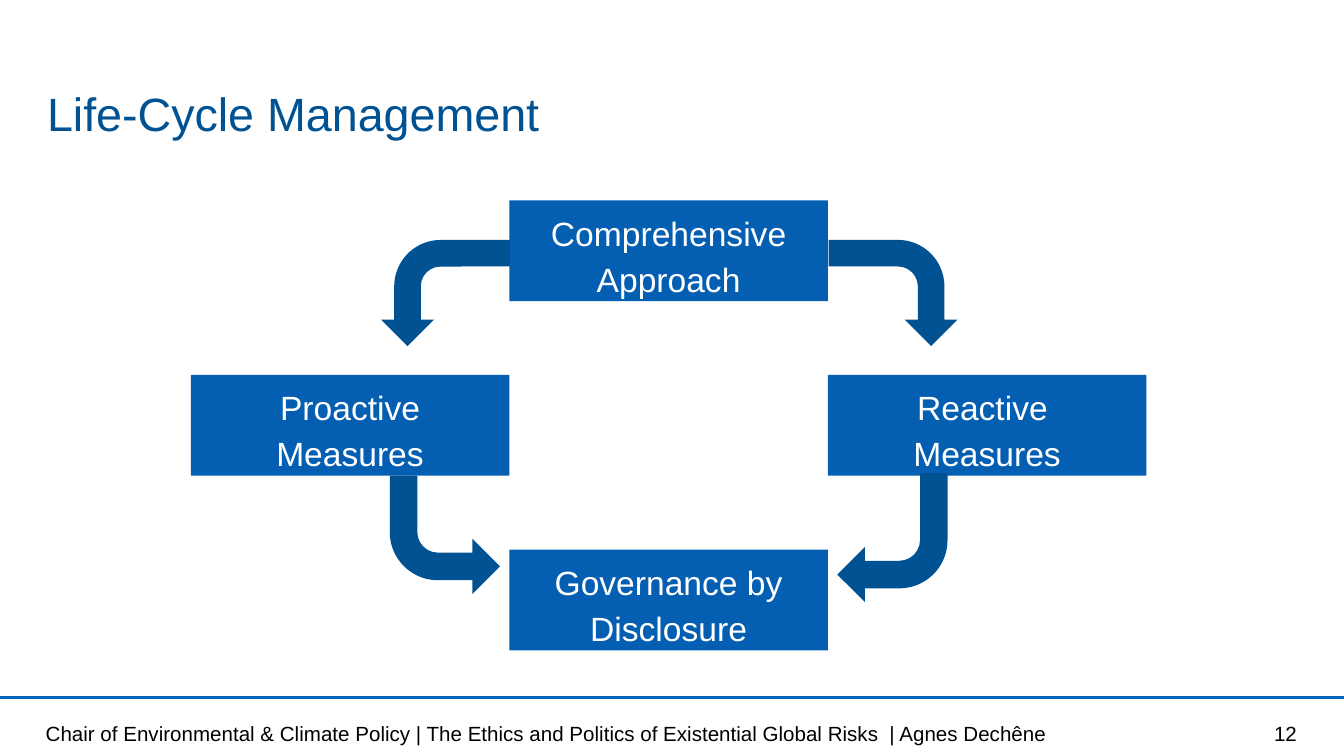
"""Build the life-cycle management slide."""
from dataclasses import dataclass

from lxml.etree import SubElement
from pptx import Presentation
from pptx.dml.color import RGBColor
from pptx.enum.shapes import MSO_CONNECTOR as Connector, MSO_SHAPE as Shape
from pptx.enum.text import MSO_ANCHOR as Anchor, PP_ALIGN as Align
from pptx.oxml.ns import qn
from pptx.util import Inches, Pt

COLORS = {"rule": "0064BD", "box": "045EB2", "dark": "005293", "white": "FFFFFF", "black": "000000"}
SLIDE_WIDTH = Inches(10)
SLIDE_HEIGHT = SLIDE_WIDTH * 9 // 16
BOX_WIDTH, BOX_HEIGHT = 2.37, 0.75
LEFT, CENTER, RIGHT = (1.42 + column * BOX_WIDTH for column in range(3))
TOP, MIDDLE, BOTTOM = (1.49 + row * 1.3 for row in range(3))
FOOTER = (
    "Chair of Environmental & Climate Policy | The Ethics and Politics of "
    "Existential Global Risks  | Agnes Dechêne"
)


@dataclass(frozen=True)
class Box:
    text: str
    left: float
    top: float


@dataclass(frozen=True)
class Arrow:
    left: float
    top: float
    width: float
    height: float
    rotation: int = 0
    flipped: bool = False


@dataclass(frozen=True)
class Label:
    text: str
    left: float
    top: float
    width: float
    height: float
    size: int
    color: str
    frame: dict
    paragraph: dict


FOOTER_FRAME = {"margin_top": Inches(0.05), "margin_bottom": Inches(0.05), "vertical_anchor": Anchor.MIDDLE}
TITLE_FRAME = {"margin_top": 0, "margin_bottom": 0, "vertical_anchor": Anchor.TOP}
LABELS = [
    Label(FOOTER, 0.34, 5.31, 7.54, 0.3, 11, "black", FOOTER_FRAME, {}),
    Label("Life-Cycle Management", 0.35, 0.6, 9.31, 0.42, 25, "dark", TITLE_FRAME, {"line_spacing": Pt(32)}),
    Label("12", 7.41, 5.31, 2.24, 0.3, 11, "black", FOOTER_FRAME, {"alignment": Align.RIGHT}),
]
BOXES = [
    Box("Comprehensive Approach", CENTER, TOP),
    Box("Proactive Measures", LEFT, MIDDLE),
    Box("Reactive \vMeasures", RIGHT, MIDDLE),
    Box("Governance by Disclosure", CENTER, BOTTOM),
]
ARROWS = [
    Arrow(6.25, 1.7, 0.79, 0.96, rotation=90),
    Arrow(2.92, 1.7, 0.79, 0.96, rotation=90, flipped=True),
    Arrow(2.9, 3.54, 0.82, 0.88, flipped=True),
    Arrow(6.23, 3.52, 0.82, 0.96, rotation=180),
]


def apply_format(target, values: dict) -> None:
    """Set every attribute named in the format values."""
    for name, value in values.items():
        setattr(target, name, value)


def write_text(shape, text: str, size: int, color: str, frame: dict, paragraph: dict) -> None:
    """Fill a shape with one formatted paragraph."""
    text_frame = shape.text_frame
    text_frame.text = text
    apply_format(text_frame, {"word_wrap": True, **frame})
    apply_format(text_frame.paragraphs[0], paragraph)
    for run in text_frame.paragraphs[0].runs:
        apply_format(run.font, {"name": "Arial", "size": Pt(size)})
        run.font.color.rgb = RGBColor.from_string(COLORS[color])


def add_filled(slide, kind: Shape, left: float, top: float, width: float, height: float, color: str):
    """Add a flat preset shape without an outline."""
    shape = slide.shapes.add_shape(kind, Inches(left), Inches(top), Inches(width), Inches(height))
    shape.shadow.inherit = False
    shape.fill.solid()
    shape.fill.fore_color.rgb = RGBColor.from_string(COLORS[color])
    shape.line.fill.background()
    return shape


def add_label(slide, label: Label) -> None:
    """Add a text box without side margins."""
    shape = slide.shapes.add_textbox(
        Inches(label.left), Inches(label.top), Inches(label.width), Inches(label.height)
    )
    frame = {"margin_left": 0, "margin_right": 0, **label.frame}
    write_text(shape, label.text, label.size, label.color, frame, label.paragraph)


def add_box(slide, box: Box) -> None:
    """Add a stage of the cycle."""
    shape = add_filled(slide, Shape.RECTANGLE, box.left, box.top, BOX_WIDTH, BOX_HEIGHT, "box")
    paragraph = {"alignment": Align.CENTER, "line_spacing": 1.14}
    write_text(shape, box.text, 18, "white", {"vertical_anchor": Anchor.TOP}, paragraph)


def add_arrow(slide, arrow: Arrow) -> None:
    """Add a bent arrow between two stages."""
    shape = add_filled(slide, Shape.BENT_ARROW, arrow.left, arrow.top, arrow.width, arrow.height, "dark")
    shape.rotation = arrow.rotation
    if arrow.flipped:
        shape.element.spPr.find(qn("a:xfrm")).set("flipV", "1")


def add_rule(slide) -> None:
    """Add the line above the footer."""
    rule = slide.shapes.add_connector(Connector.STRAIGHT, 0, Inches(5.19), SLIDE_WIDTH, Inches(5.19))
    rule.line.width = Pt(2)
    rule.line.color.rgb = RGBColor.from_string(COLORS["rule"])
    SubElement(rule.element.spPr, qn("a:effectLst"))


def main() -> None:
    """Build and save the presentation."""
    presentation = Presentation()
    apply_format(presentation, {"slide_width": SLIDE_WIDTH, "slide_height": SLIDE_HEIGHT})
    slide = presentation.slides.add_slide(presentation.slide_layouts[6])
    add_rule(slide)
    for label in LABELS:
        add_label(slide, label)
    for box in BOXES:
        add_box(slide, box)
    for arrow in ARROWS:
        add_arrow(slide, arrow)
    presentation.save("out.pptx")


if __name__ == "__main__":
    main()
